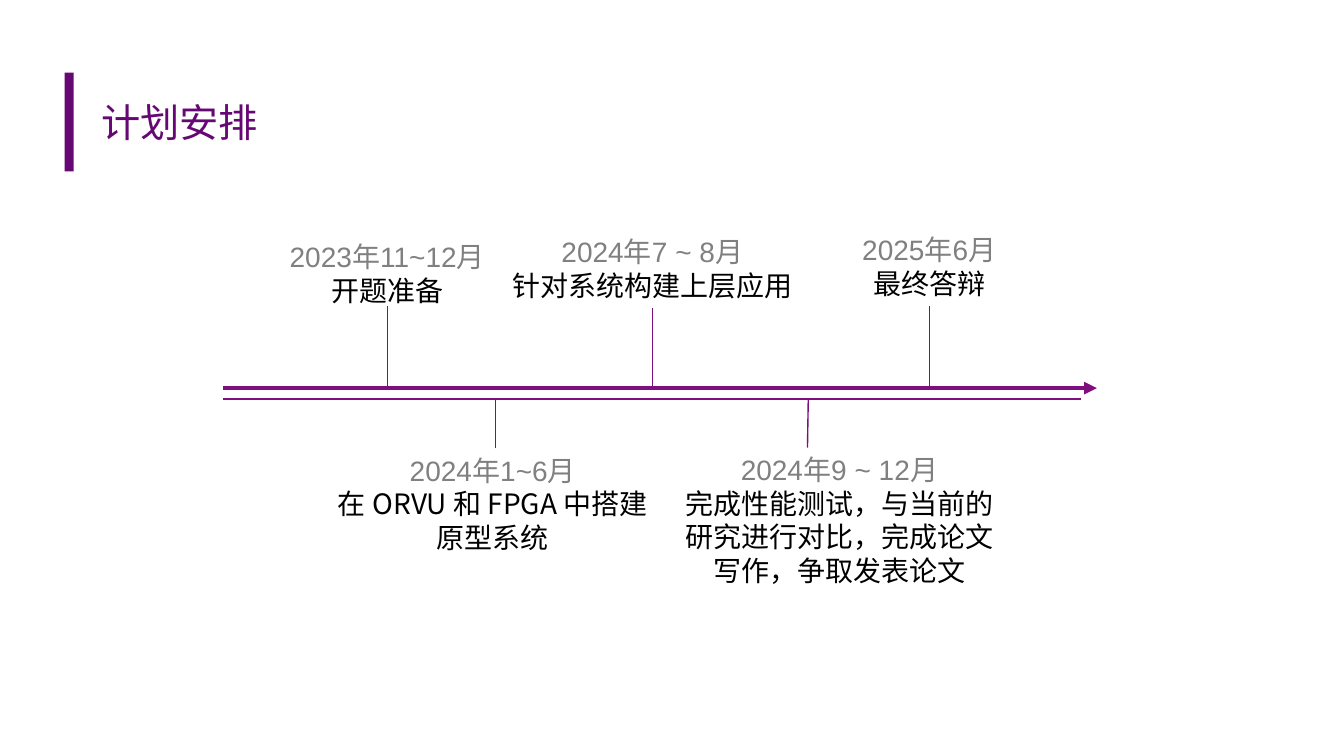
from pptx import Presentation
from pptx.dml.color import RGBColor
from pptx.enum.shapes import MSO_CONNECTOR, MSO_SHAPE
from pptx.enum.text import MSO_ANCHOR, PP_ALIGN
from pptx.oxml.ns import qn
from pptx.util import Cm, Pt
from lxml import etree

LINE = MSO_CONNECTOR.STRAIGHT
RECT = MSO_SHAPE.RECTANGLE
MIDDLE = MSO_ANCHOR.MIDDLE
CENTER = PP_ALIGN.CENTER
HAN = "Noto Sans CJK SC"
PURPLE = "660874"
VIOLET = "7F0F7E"
GREY = "808080"
BLACK = "000000"

ABOVE = [
    (9.76, 5.92, 7.7, 9.73, "2023年11~12月", "开题准备"),
    (16.44, 5.79, 7.75, 9.78, "2024年7 ~ 8月", "针对系统构建上层应用"),
    (23.42, 5.74, 7.7, 9.73, "2025年6月", "最终答辩"),
]
BELOW = [
    ((8, 11.3, 8.84, 2.82), 4.49, 4.49, "2024年1~6月",
     "在 ORVU 和 FPGA 中搭建原型系统"),
    ((16.99, 11.28, 8.33, 4.52), 3.36, 3.38, "2024年9 ~ 12月",
     "完成性能测试，与当前的研究进行对比，完成论文写作，争取发表论文"),
]


def color(code):
    return RGBColor.from_string(code)


def add_run(para, text, size, font, code):
    run = para.add_run()
    run.text = text
    run.font.size = Pt(size)
    run.font.name = font
    run.font.color.rgb = color(code)
    east = etree.SubElement(run.font._element, qn("a:ea"))
    east.set("typeface", HAN)


def add_frame(slide, box):
    frame = slide.shapes.add_textbox(*map(Cm, box)).text_frame
    frame.word_wrap = True
    return frame


def add_line(slide, start, end, width, arrow=False):
    line = slide.shapes.add_connector(LINE, *map(Cm, start + end))
    line.line.color.rgb = color(VIOLET)
    line.line.width = Pt(width)
    props = line._element.spPr
    if arrow:
        etree.SubElement(props.find(qn("a:ln")), qn("a:tailEnd"), type="triangle")
    etree.SubElement(props, qn("a:effectLst"))


def add_header(slide, box):
    left, top, width, height = box
    bar = slide.shapes.add_shape(RECT, *map(Cm, (left, top + 0.18, 0.23, 2.49)))
    bar.shadow.inherit = False
    bar.fill.solid()
    bar.fill.fore_color.rgb = color(PURPLE)
    bar.line.fill.background()
    frame = add_frame(slide, (left + 0.68, top, width - 0.68, height))
    frame.vertical_anchor = MIDDLE
    add_run(frame.paragraphs[0], "计划安排", 28, "Cabin", PURPLE)


def add_axis(slide, box):
    left, top, width, gap = box
    low = top + gap
    add_line(slide, (left, top), (left + width, top), 3, True)
    add_line(slide, (left, low), (left + width - 0.41, low), 1.5)


def add_label(slide, box, date, task):
    frame = add_frame(slide, box)
    first, second = frame.paragraphs[0], frame.add_paragraph()
    first.alignment = second.alignment = CENTER
    add_run(first, date, 20, "Arial", GREY)
    add_run(second, task, 20, HAN, BLACK)


def add_plan(slide, box):
    add_axis(slide, box)
    wide = 11.1
    for mid, top, high, low, date, task in ABOVE:
        add_line(slide, (mid, low), (mid, high), 1)
        add_label(slide, (mid - wide / 2, top, wide, 1.96), date, task)
    base = box[1] + box[3]
    for area, foot, head, date, task in BELOW:
        left, top = area[:2]
        add_line(slide, (left + foot, top), (left + head, base), 1)
        add_label(slide, area, date, task)


def main():
    deck = Presentation()
    deck.slide_width, deck.slide_height = Cm(33.87), Cm(19.05)
    slide = deck.slides.add_slide(deck.slide_layouts[6])
    add_header(slide, (1.63, 1.65, 29.92, 2.82))
    add_plan(slide, (5.61, 9.78, 22.03, 0.28))
    deck.save("out.pptx")


if __name__ == "__main__":
    main()
